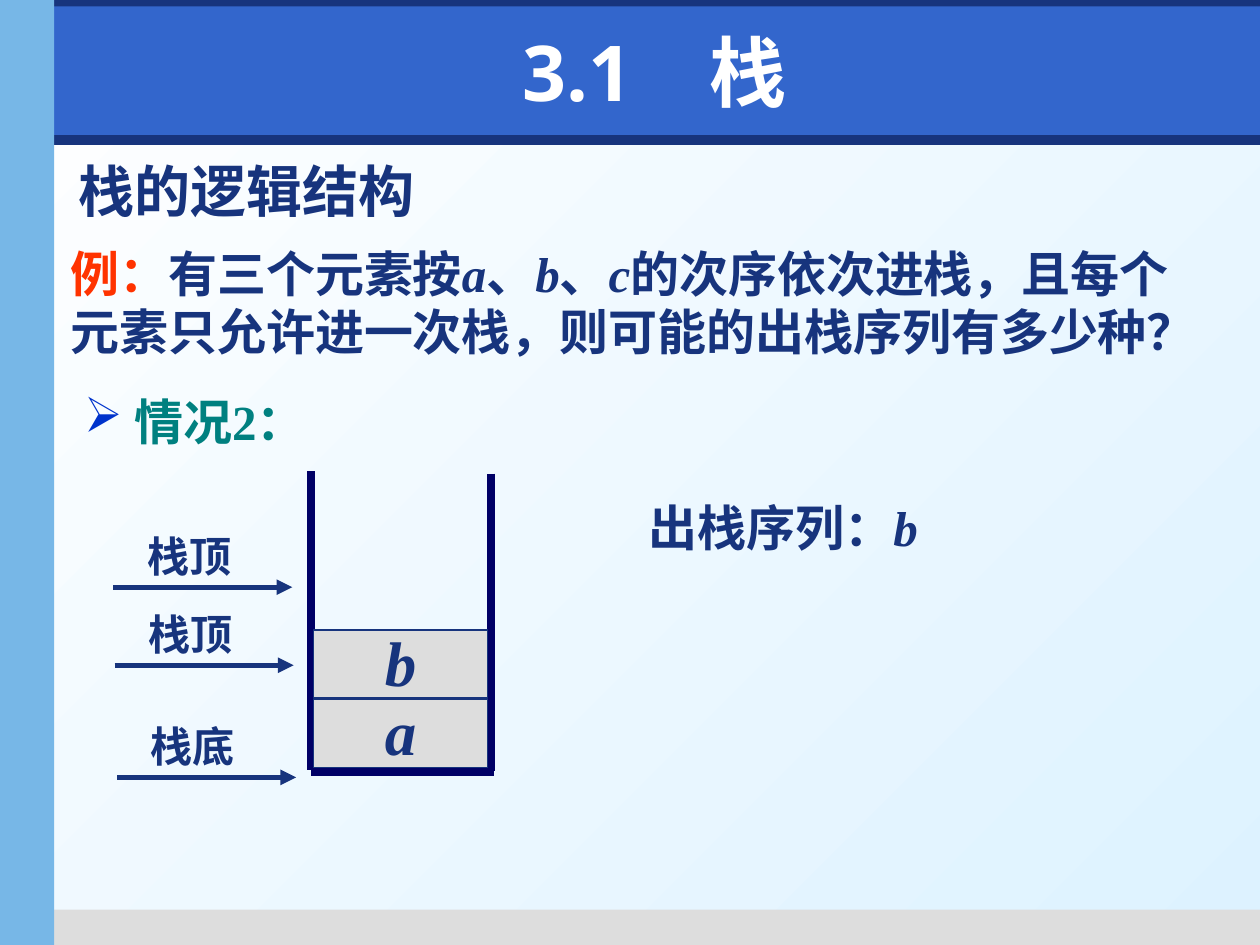
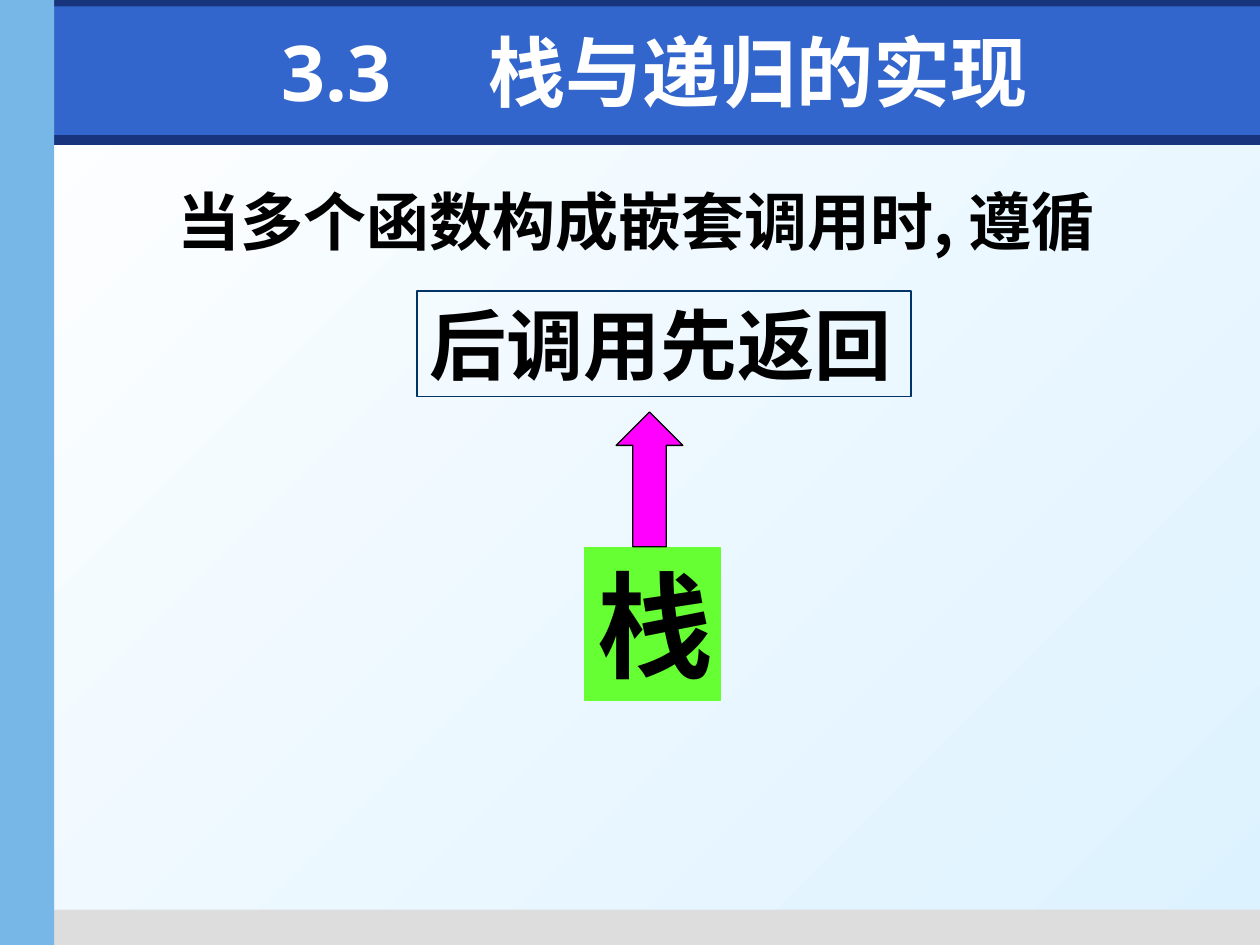
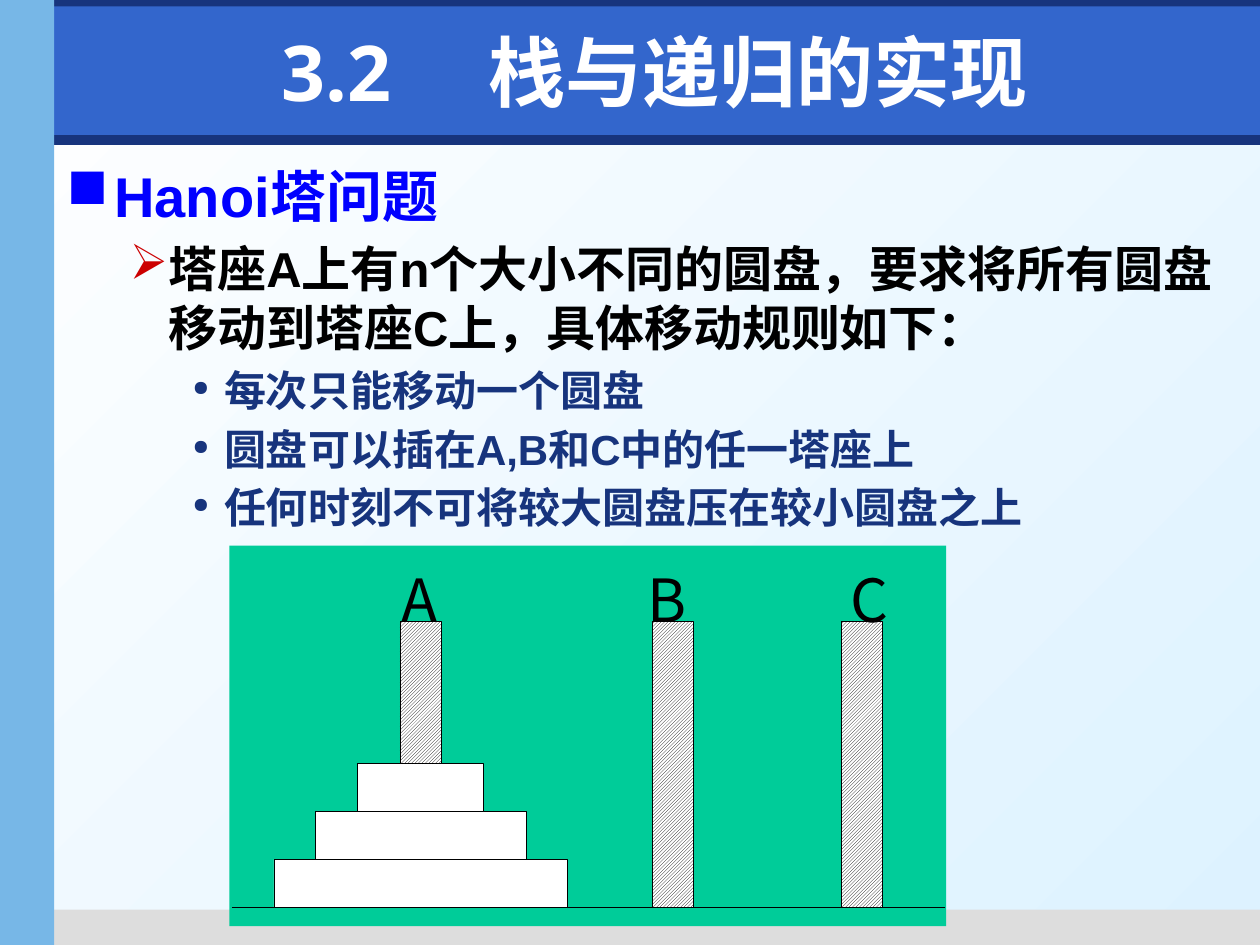
"""Build three lecture slides on stacks and recursion."""
from lxml.etree import SubElement
from pptx import Presentation
from pptx.dml.color import RGBColor
from pptx.enum.dml import MSO_PATTERN
from pptx.enum.shapes import MSO_CONNECTOR, MSO_SHAPE
from pptx.enum.text import MSO_ANCHOR, MSO_AUTO_SIZE, PP_ALIGN
from pptx.oxml.ns import qn
from pptx.util import Inches, Pt

COLORS = {
    "navy": "17347D", "band": "3366CC", "side": "77B7E7", "gray": "DDDDDD",
    "white": "FFFFFF", "sky": "DDF2FF", "black": "000000", "wall": "000066",
    "orange": "FF3300", "teal": "008080", "bullet": "0033CC", "blue": "0000FF",
    "red": "CC0000", "frame": "003366", "lime": "66FF33", "magenta": "FF00FF",
    "board": "00CC99",
}
SERIF, SANS, HAN, HEADING = "Times New Roman", "Arial", "Noto Sans CJK SC", "Open Sans"
COLUMNS, ROWS = 10, 7.5
TITLE_AREA = (0.59, 0.13, 9.21, 0.87)
TITLE = {"size": 44, "name": HEADING, "color": "white", "bold": True}
NOTE = {"size": 28, "name": SERIF, "color": "navy", "bold": True}
LABEL = {**NOTE, "size": 24}
CELL = {**NOTE, "size": 36, "italic": True}
CALL = {"size": 36, "name": HAN, "color": "black", "bold": True}
PEG = {"size": 34, "name": HAN, "color": "black"}
ITALIC = {"italic": True}

BANDS = [
    ((0.04, 1.07, 9.96, 0.08), "navy"),
    ((0.35, 7.22, 9.65, 0.28), "gray"),
    ((0, 0, COLUMNS, 0.21), "navy"),
    ((0.43, 0.05, 9.57, 1.02), "band"),
    ((0, 0, 0.43, ROWS), "side"),
]

WALLS = [(2.47, 3.74, 2.47, 6.11), (2.47, 6.13, 3.92, 6.13), (3.9, 3.76, 3.9, 6.12)]
POINTERS = [("栈底", 0.93, 6.17), ("栈顶", 0.91, 5.28), ("栈顶", 0.9, 4.66)]
STACK = ["a", "b"]
STACK_LEFT, STACK_TOP, CELL_STEP = 2.49, 5.55, 0.55
QUESTION = [
    ("例：", {"color": "orange"}), ("有三个元素按", {}), ("a", ITALIC), ("、", {}),
    ("b", ITALIC), ("、", {}), ("c", ITALIC),
    ("的次序依次进栈，且每个元素只允许进一次栈，则可能的出栈序列有多少种？", {}),
]
STACK_NOTES = [
    ((5.05, 3.9, 3.84, 0.57), [("出栈序列：", {}), ("b", ITALIC)], {}, {}),
    ((0.57, 3.06, 2.12, 0.57), [(" ", {}), ("情况2：", {"color": "teal"})],
     {"bullet": ("➢", "bullet", 100)}, {}),
    ((0.56, 1.88, 9.06, 1.03), QUESTION, {}, {"margin_left": 0, "margin_right": 0}),
    ((0.42, 1.19, 3.49, 0.63), [(" 栈的逻辑结构", {"size": 32})], {}, {}),
]

CALL_BOXES = [
    ((1.31, 1.4, 8.08, 0.7), "当多个函数构成嵌套调用时, 遵循", 36, None, None),
    ((3.31, 2.31, 3.92, 0.84), "后调用先返回", 44, None, "frame"),
    ((4.64, 4.35, 1.08, 1.21), "栈", 66, "lime", "lime"),
]
CALL_ARROW = (4.89, 3.27, 0.53, 1.07)

LEVELS = [
    {"size": 32, "color": "blue", "indent": (0.38, -0.38), "bullet": ("■", "blue", 100)},
    {"size": 28, "color": "black", "indent": (0.81, -0.31), "bullet": ("➢", "red", 100)},
    {"size": 24, "color": "navy", "indent": (1.25, -0.25), "bullet": ("●", "navy", 50)},
]
HANOI = [
    (0, "Hanoi塔问题"),
    (1, "塔座A上有n个大小不同的圆盘，要求将所有圆盘移动到塔座C上，具体移动规则如下："),
    (2, "每次只能移动一个圆盘"),
    (2, "圆盘可以插在A,B和C中的任一塔座上"),
    (2, "任何时刻不可将较大圆盘压在较小圆盘之上"),
]
BOARD = (1.82, 4.33, 5.69, 3.02)
PEGS = [("A", 3.34, 3.19), ("B", 5.34, 5.14), ("C", 6.84, 6.75)]
PEG_TOP, PEG_WIDTH, GROUND = 4.93, 0.33, 7.2
DISKS, DISK_HEIGHT, DISK_STEP = [2.33, 1.67, 1], 0.38, 0.38


def rgb(name):
    return RGBColor.from_string(COLORS[name])


def area(values):
    return [Inches(value) for value in values]


def apply(target, values):
    for key, value in values.items():
        setattr(target, key, value)


def add_bullet(para, bullet, indent):
    mark, color, share = bullet
    props = para._p.get_or_add_pPr()
    props.set("marL", str(Inches(indent[0])))
    props.set("indent", str(Inches(indent[1])))
    SubElement(SubElement(props, qn("a:buClr")), qn("a:srgbClr")).set("val", COLORS[color])
    SubElement(props, qn("a:buSzPct")).set("val", str(share * 1000))
    SubElement(props, qn("a:buChar")).set("char", mark)


def write(para, spans, style, align=PP_ALIGN.LEFT, bullet=None, indent=(0, 0)):
    para.alignment = align
    if bullet:
        add_bullet(para, bullet, indent)
    for text, changes in spans:
        look = {**style, **changes}
        span = para.add_run()
        span.text = text
        span.font.color.rgb = rgb(look.pop("color"))
        look["size"] = Pt(look["size"])
        apply(span.font, look)
        SubElement(span._r.get_or_add_rPr(), qn("a:ea")).set("typeface", HAN)


def add_block(page, place, fill=None, line=None, width=0.75, kind=MSO_SHAPE.RECTANGLE):
    block = page.shapes.add_shape(kind, *area(place))
    block.shadow.inherit = False
    if fill:
        block.fill.solid()
        block.fill.fore_color.rgb = rgb(fill)
    else:
        block.fill.background()
    if line:
        block.line.color.rgb = rgb(line)
        block.line.width = Pt(width)
    else:
        block.line.fill.background()
    return block


def add_line(page, ends, color, width, arrow=False):
    line = page.shapes.add_connector(MSO_CONNECTOR.STRAIGHT, *area(ends))
    line.line.color.rgb = rgb(color)
    line.line.width = Pt(width)
    if arrow:
        SubElement(line.line._get_or_add_ln(), qn("a:tailEnd")).set("type", "triangle")
    SubElement(line._element.spPr, qn("a:effectLst"))


def add_text(page, place, spans, style, layout=None, frame=None):
    box = page.shapes.add_textbox(*area(place))
    settings = {"word_wrap": True, "auto_size": MSO_AUTO_SIZE.SHAPE_TO_FIT_TEXT}
    apply(box.text_frame, {**settings, **(frame or {})})
    write(box.text_frame.paragraphs[0], spans, style, **(layout or {}))


def add_page(deck, title):
    page = deck.slides.add_slide(deck.slide_layouts[5])
    heading = page.shapes.title
    apply(heading, dict(zip(("left", "top", "width", "height"), area(TITLE_AREA))))
    apply(heading.text_frame, {"vertical_anchor": MSO_ANCHOR.MIDDLE, "word_wrap": True})
    write(heading.text_frame.paragraphs[0], [(title, {})], TITLE, PP_ALIGN.CENTER)
    return page


def dress_layout(deck, page):
    layout = page.slide_layout
    fill = layout.background.fill
    fill.gradient()
    fill.gradient_angle = 315
    for stop, color in zip(fill.gradient_stops, ("white", "sky")):
        stop.color.rgb = rgb(color)
    for depth, (place, color) in enumerate(BANDS):
        band = add_block(page, place, color)
        layout.shapes.element.insert(2 + depth, band._element)


def draw_stack(page):
    for ends in WALLS:
        add_line(page, ends, "wall", 4.5)
    for text, left, top in POINTERS:
        add_line(page, (left, top, left + 1.42, top), "navy", 3, arrow=True)
        add_text(page, (left + 0.17, top - 0.5, 1, 0.5), [(text, {})], LABEL)
    for level, name in enumerate(STACK):
        place = (STACK_LEFT, STACK_TOP - level * CELL_STEP, 1.38, 0.54)
        cell = add_block(page, place, "gray", "navy")
        apply(cell.text_frame, {"word_wrap": False, "margin_top": 0,
                                "vertical_anchor": MSO_ANCHOR.MIDDLE})
        write(cell.text_frame.paragraphs[0], [(name, {})], CELL, PP_ALIGN.CENTER)
    for place, spans, layout, frame in STACK_NOTES:
        add_text(page, place, spans, NOTE, layout, frame)


def draw_calls(page):
    for place, text, size, fill, line in CALL_BOXES:
        box = add_block(page, place, fill, line)
        apply(box.text_frame, {"word_wrap": True, "vertical_anchor": MSO_ANCHOR.TOP,
                               "auto_size": MSO_AUTO_SIZE.SHAPE_TO_FIT_TEXT})
        write(box.text_frame.paragraphs[0], [(text, {"size": size})], CALL)
    add_block(page, CALL_ARROW, "magenta", "black", kind=MSO_SHAPE.UP_ARROW)


def draw_hanoi(page):
    frame = page.shapes.add_textbox(*area((0.43, 1.23, 9.37, 5.9))).text_frame
    frame.word_wrap = True
    for index, (level, text) in enumerate(HANOI):
        para = frame.add_paragraph() if index else frame.paragraphs[0]
        look = LEVELS[level]
        apply(para, {"level": level, "space_before": Pt(look["size"] * 0.2)})
        style = {"size": look["size"], "color": look["color"], "name": SANS, "bold": True}
        write(para, [(text, {})], style, bullet=look["bullet"], indent=look["indent"])
    add_block(page, BOARD, "board")
    add_line(page, (1.84, GROUND, 7.5, GROUND), "black", 0.5)
    for level, width in enumerate(DISKS, 1):
        place = (PEGS[0][1] - width / 2, GROUND - level * DISK_STEP, width, DISK_HEIGHT)
        add_block(page, place, "white", "black", 0.5)
    for index, (name, center, label_left) in enumerate(PEGS):
        bottom = GROUND if index else GROUND - len(DISKS) * DISK_STEP
        place = (center - PEG_WIDTH / 2, PEG_TOP, PEG_WIDTH, bottom - PEG_TOP)
        peg = add_block(page, place, "white", "black", 0.5)
        peg.fill.patterned()
        peg.fill.pattern = MSO_PATTERN.LIGHT_UPWARD_DIAGONAL
        peg.fill.fore_color.rgb = rgb("black")
        peg.fill.back_color.rgb = rgb("white")
        margins = dict.fromkeys(
            ("margin_left", "margin_top", "margin_right", "margin_bottom"), 0)
        add_text(page, (label_left, 4.47, 0.31, 0.48), [(name, {})], PEG,
                 frame={**margins, "word_wrap": False})


PAGES = [
    ("3.1　栈", draw_stack),
    ("3.3 　栈与递归的实现", draw_calls),
    ("3.2 　栈与递归的实现", draw_hanoi),
]

deck = Presentation()
apply(deck, {"slide_width": Inches(COLUMNS), "slide_height": Inches(ROWS)})
for number, (title, draw) in enumerate(PAGES):
    page = add_page(deck, title)
    if number == 0:
        dress_layout(deck, page)
    draw(page)
deck.save("out.pptx")
